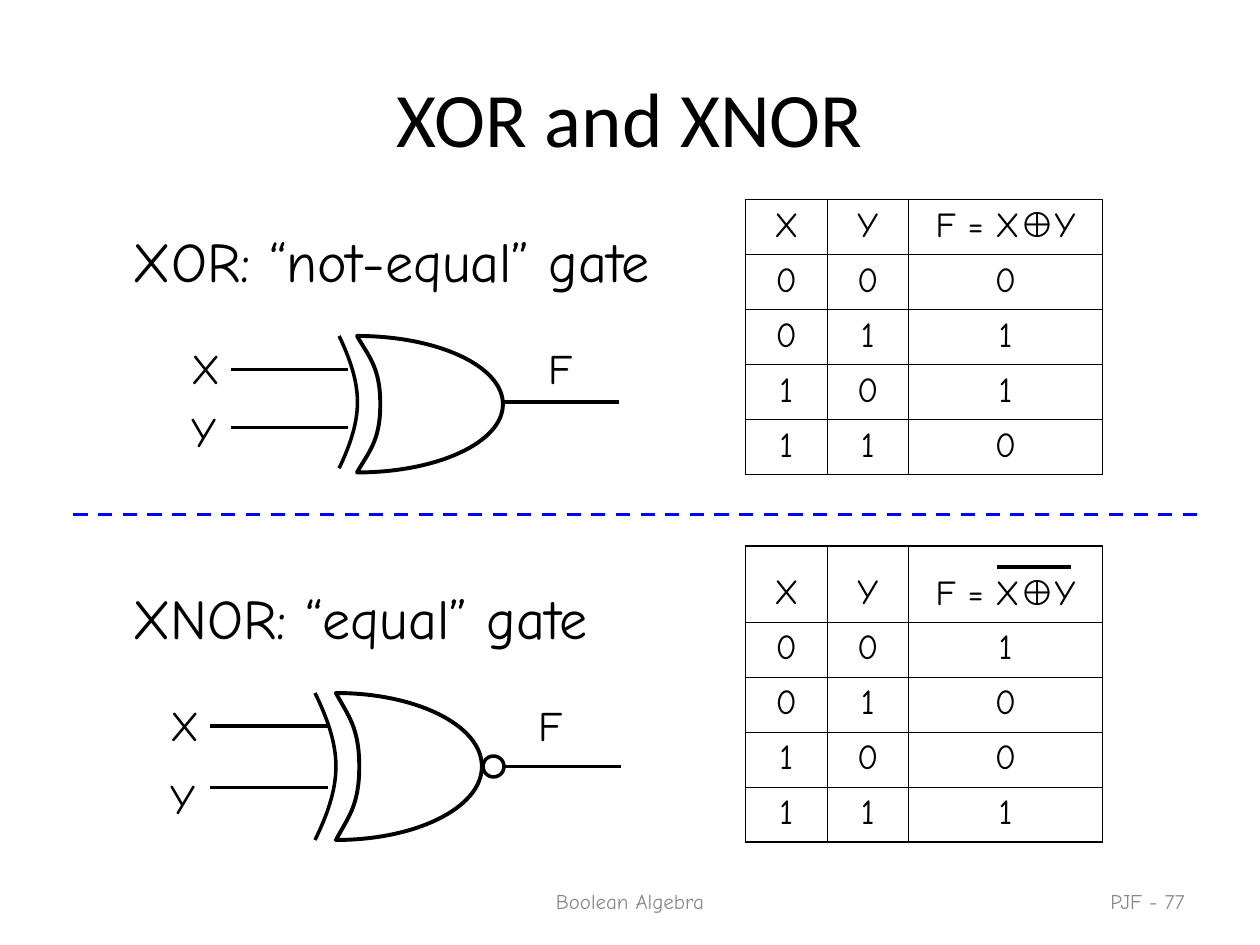
from lxml.etree import SubElement
from pptx import Presentation
from pptx.dml.color import RGBColor
from pptx.enum.dml import MSO_LINE
from pptx.enum.shapes import MSO_CONNECTOR, MSO_SHAPE
from pptx.enum.text import MSO_ANCHOR, MSO_AUTO_SIZE, PP_ALIGN
from pptx.oxml.ns import qn
from pptx.util import Inches, Pt

HAND = "Comic Neue"
BLACK, BLUE, GREY = "000000", "0000FF", "898989"
ROW = 5.24
SUM = [("F = X", HAND), ("⊕", "Arial"), ("Y", HAND)]
INPUTS = [("0", "0"), ("0", "1"), ("1", "0"), ("1", "1")]

# Upper or lower halves of outlines, as cubic curves in shares of the size
BACK = [(0, 0), (0.08, 0.15), (0.16, 0.23), (0.16, 0.5)]
NOSE = [(0, 1), (0.55, 1), (1, 0.78), (1, 0.5)]
BOW = [(0, 0), (0.55, 0.16), (1, 0.33), (1, 0.5)]


def unit(n):
    """Length of n grid steps; the slide is a grid of 120 by 90."""
    return Inches(n / 12)


def units(*nums):
    return [unit(n) for n in nums]


def color(code):
    return RGBColor.from_string(code)


def apply(item, form):
    for name, value in form.items():
        setattr(item, name, value)


def write(para, runs, size, code=BLACK, align=PP_ALIGN.LEFT):
    para.alignment = align
    for text, face in runs:
        run = para.add_run()
        run.text = text
        apply(run.font, {"name": face, "size": Pt(size)})
        run.font.color.rgb = color(code)


def add_title(slide, text):
    title = slide.shapes.title
    apply(title, dict(zip(("left", "top", "width", "height"),
                          units(0, 3.6, 120, 15))))
    title.text_frame.vertical_anchor = MSO_ANCHOR.MIDDLE
    write(title.text_frame.paragraphs[0], [(text, "Calibri")], 44,
          align=PP_ALIGN.CENTER)


def add_label(slide, text, spot, size=24):
    """Add text that keeps to one line."""
    frame = slide.shapes.add_textbox(*units(*spot)).text_frame
    apply(frame, {"word_wrap": False,
                  "auto_size": MSO_AUTO_SIZE.SHAPE_TO_FIT_TEXT})
    write(frame.paragraphs[0], [(text, HAND)], size)


def add_foot(slide, text, spot, align):
    frame = slide.shapes.add_textbox(*units(*spot)).text_frame
    apply(frame, {"word_wrap": True, "vertical_anchor": MSO_ANCHOR.MIDDLE})
    write(frame.paragraphs[0], [(text, HAND)], 12, GREY, align)


def add_wire(slide, start, end, code=BLACK, dash=None):
    wire = slide.shapes.add_connector(MSO_CONNECTOR.STRAIGHT,
                                      *units(*start, *end))
    apply(wire.line, {"width": Pt(2), "dash_style": dash})
    wire.line.color.rgb = color(code)
    SubElement(wire._element.spPr, qn("a:effectLst"))


def outline(shape, width):
    shape.shadow.inherit = False
    shape.fill.background()
    shape.line.width = Pt(width)
    shape.line.color.rgb = color(BLACK)


def whole(half):
    """A curve, then its mirror image back from the middle line."""
    return half + [(x, 1 - y) for x, y in half[-2::-1]]


def bend(shape):
    """Turn each three straight steps of the path into one cubic curve."""
    path = next(shape._element.iter(qn("a:path")))
    steps = path.findall(qn("a:lnTo"))
    for first, *rest in zip(steps[::3], steps[1::3], steps[2::3]):
        first.tag = qn("a:cubicBezTo")
        for step in rest:
            first.append(step[0])
            path.remove(step)


def add_curve(slide, points, spot, width, close):
    left, top, wide, high = spot
    places = [units(left + x * wide, top + y * high) for x, y in points]
    pen = slide.shapes.build_freeform(*places[0])
    pen.add_line_segments(places[1:], close=close)
    shape = pen.convert_to_shape()
    bend(shape)
    outline(shape, width)


def add_gate(slide, body, bow, ins, out, labels):
    add_curve(slide, whole(BACK) + whole(NOSE)[1:], body, 2.25, True)
    add_curve(slide, whole(BOW), bow, 2, False)
    start, end, rows = ins
    for row in rows:
        add_wire(slide, (end, row), (start, row))
    start, end, row = out
    add_wire(slide, (end, row), (start, row))
    for text, wide, (left, top) in zip("XYF", (5.2, 4.8, 4.7), labels):
        add_label(slide, text, (left, top, wide, 6))


def add_borders(cell, sides):
    props = cell._tc.get_or_add_tcPr()
    for side, outer in sides.items():
        line = SubElement(props, qn("a:ln" + side),
                          w=str(Pt(1.08 if outer else 0.45)))
        fill = SubElement(line, qn("a:solidFill"))
        SubElement(fill, qn("a:srgbClr"), val=BLACK)


def add_truth(slide, top, head, results):
    """Add a truth table whose first row is head steps high."""
    cols, rows = (7.77, 7.77, 18.46), (head,) + (ROW,) * len(INPUTS)
    table = slide.shapes.add_table(len(rows), len(cols), *units(
        71, top, sum(cols), sum(rows))).table
    apply(table, {"first_row": False, "horz_banding": False})
    for col, wide in zip(table.columns, cols):
        col.width = unit(wide)
    for row, high in zip(table.rows, rows):
        row.height = unit(high)
    grid = [[[("X", HAND)], [("Y", HAND)], SUM]]
    for pair, result in zip(INPUTS, results):
        grid.append([[(bit, HAND)] for bit in (*pair, result)])
    for r, line in enumerate(grid):
        for c, runs in enumerate(line):
            cell = table.cell(r, c)
            add_borders(cell, {"L": c == 0, "R": c == len(cols) - 1,
                               "T": r == 0, "B": r == len(rows) - 1})
            cell.fill.background()
            cell.margin_top = unit(0.6 + rows[r] - ROW)
            write(cell.text_frame.paragraphs[0], runs, 20,
                  align=PP_ALIGN.CENTER)


def main():
    deck = Presentation()
    apply(deck, {"slide_width": unit(120), "slide_height": unit(90)})
    slide = deck.slides.add_slide(deck.slide_layouts[5])
    add_title(slide, "XOR and XNOR")

    add_label(slide, "XOR: “not-equal” gate", (11.45, 21, 52, 14), 32)
    add_gate(slide, body=(34, 32, 13.9, 13), bow=(32.3, 32, 1.75, 12.6),
             ins=(22, 33.1, (35.2, 40.7)), out=(47.8, 59, 38.3),
             labels=[(17.1, 32), (17.1, 38), (51.1, 32)])
    add_truth(slide, 19, ROW, "0110")

    add_wire(slide, (7, 49), (114, 49), BLUE, MSO_LINE.DASH)

    add_label(slide, "XNOR: “equal” gate", (11.4, 55, 46, 14), 32)
    add_gate(slide, body=(32, 66, 13.9, 14), bow=(30, 66, 2, 14),
             ins=(20, 31.2, (69.15, 75)), out=(48, 59.1, 73),
             labels=[(15.1, 66), (15.1, 73), (50.1, 66)])
    bubble = slide.shapes.add_shape(MSO_SHAPE.OVAL, *units(46, 72, 2, 2))
    outline(bubble, 2)
    add_truth(slide, 52, 7.25, "1001")
    add_wire(slide, (95, 54), (102, 54))

    add_foot(slide, "Boolean Algebra", (41, 83.4, 38, 4.8), PP_ALIGN.CENTER)
    add_foot(slide, "PJF - 77", (86, 83.4, 28, 4.8), PP_ALIGN.RIGHT)
    deck.save("out.pptx")


if __name__ == "__main__":
    main()
